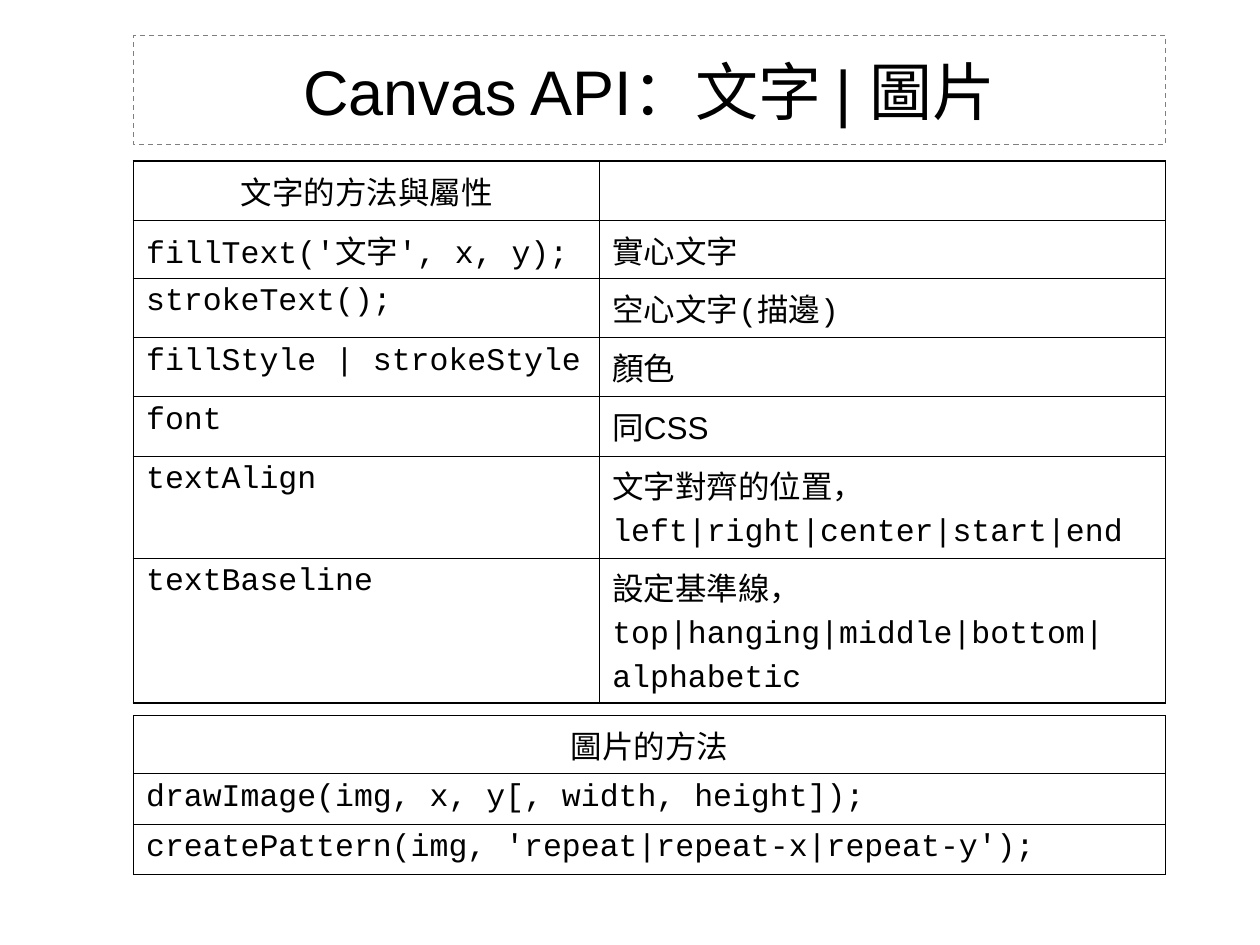
from lxml.etree import SubElement
from pptx import Presentation
from pptx.dml.color import RGBColor
from pptx.enum.dml import MSO_LINE_DASH_STYLE as Dash
from pptx.enum.text import MSO_ANCHOR as Anchor, PP_ALIGN as Align
from pptx.oxml.ns import qn
from pptx.util import Inches, Pt

THEME = {
    "sans": "Arial", "mono": "Courier New",
    "text": "000000", "border": "000000", "frame": "7F7F7F",
    "title": 36, "body": 18, "gap": 4.5,
    "thin": 0.45, "thick": 1.08, "frame_width": 0.75,
}
LEFT, WIDTH = 1.06, 8.19

# Content: each cell is a list of (text, font) paragraphs
TITLE = "Canvas API：文字 | 圖片"
TEXT_ROWS = [
    [[("文字的方法與屬性", "sans")], []],
    [[("fillText('文字', x, y);", "mono")], [("實心文字", "sans")]],
    [[("strokeText();", "mono")], [("空心文字(描邊)", "mono")]],
    [[("fillStyle | strokeStyle", "mono")], [("顏色", "mono")]],
    [[("font", "mono")], [("同CSS", "sans")]],
    [[("textAlign", "mono")],
     [("文字對齊的位置，", "sans"), ("left|right|center|start|end", "mono")]],
    [[("textBaseline", "mono")],
     [("設定基準線，", "sans"), ("top|hanging|middle|bottom|", "mono"),
      ("alphabetic", "mono")]],
]
IMAGE_ROWS = [
    [[("圖片的方法", "sans")]],
    [[("drawImage(img, x, y[, width, height]);", "mono")]],
    [[("createPattern(img, 'repeat|repeat-x|repeat-y');", "mono")]],
]
TABLES = [
    {"rows": TEXT_ROWS, "top": 1.28, "columns": [3.7, 4.49], "outer": "thick",
     "heights": [0.47, 0.46, 0.47, 0.47, 0.47, 0.81, 1.15]},
    {"rows": IMAGE_ROWS, "top": 5.68, "columns": [WIDTH], "outer": "thin",
     "heights": [0.46, 0.39, 0.39]},
]


def style_font(font, face, size):
    font.name = THEME[face]
    font.size = Pt(THEME[size])
    font.color.rgb = RGBColor.from_string(THEME["text"])


def set_borders(cell, widths):
    """Draw the left, right, top and bottom borders, in that order."""
    properties = cell._tc.get_or_add_tcPr()
    for side, width in zip("LRTB", widths):
        line = SubElement(properties, qn(f"a:ln{side}"), w=str(Pt(THEME[width])))
        fill = SubElement(line, qn("a:solidFill"))
        SubElement(fill, qn("a:srgbClr"), val=THEME["border"])


def fill_cell(cell, paragraphs, align):
    frame = cell.text_frame
    for index, (text, face) in enumerate(paragraphs or [("", "sans")]):
        para = frame.add_paragraph() if index else frame.paragraphs[0]
        para.text = text
        para.alignment = align
        if index:
            para.space_before = Pt(THEME["gap"])
        style_font(para.font, face, "body")


def add_grid(page, rows, top, columns, heights, outer):
    table = page.shapes.add_table(
        len(rows), len(columns), Inches(LEFT), Inches(top),
        Inches(WIDTH), Inches(sum(heights))).table
    table.first_row = table.horz_banding = False
    for column, width in zip(table.columns, columns):
        column.width = Inches(width)
    for row, height in zip(table.rows, heights):
        row.height = Inches(height)
    last_row, last_column = len(rows) - 1, len(columns) - 1
    for r, row in enumerate(rows):
        for c, paragraphs in enumerate(row):
            cell = table.cell(r, c)
            edges = (c == 0, c == last_column, r == 0, r == last_row)
            set_borders(cell, [outer if edge else "thin" for edge in edges])
            cell.fill.background()
            fill_cell(cell, paragraphs, Align.LEFT if r else Align.CENTER)


def add_title(page):
    box = page.shapes.add_textbox(
        Inches(LEFT), Inches(0.28), Inches(WIDTH), Inches(0.87))
    box.line.color.rgb = RGBColor.from_string(THEME["frame"])
    box.line.width = Pt(THEME["frame_width"])
    box.line.dash_style = Dash.DASH
    frame = box.text_frame
    frame.word_wrap = True
    frame.vertical_anchor = Anchor.MIDDLE
    para = frame.paragraphs[0]
    para.text = TITLE
    para.alignment = Align.CENTER
    style_font(para.font, "sans", "title")


def main():
    deck = Presentation()
    deck.slide_width, deck.slide_height = Inches(10), Inches(7.5)
    page = deck.slides.add_slide(deck.slide_layouts[6])
    add_title(page)
    for table in TABLES:
        add_grid(page, **table)
    deck.save("out.pptx")


if __name__ == "__main__":
    main()
